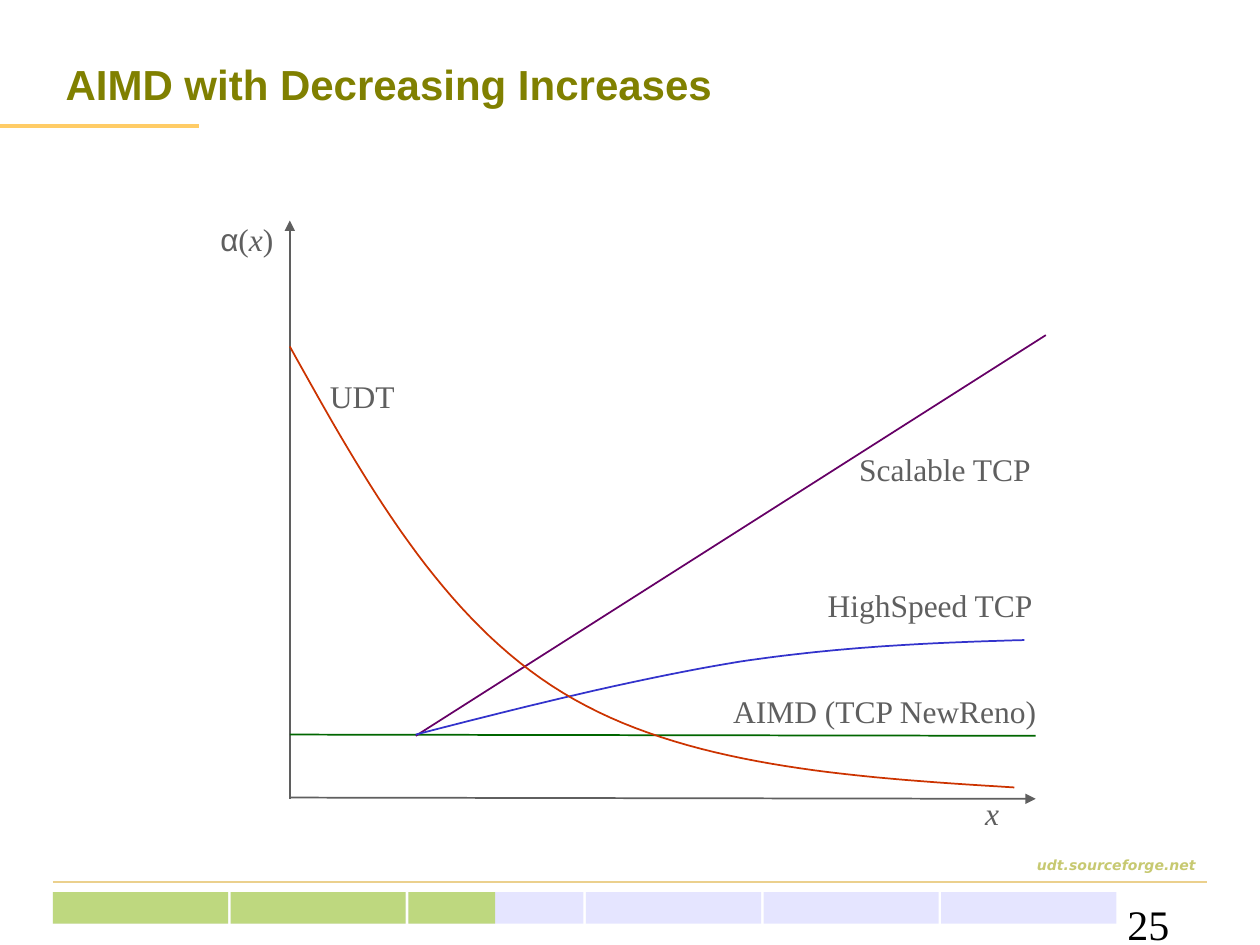
from typing import NamedTuple

from lxml import etree
from pptx import Presentation
from pptx.dml.color import RGBColor
from pptx.enum import shapes, text
from pptx.oxml.ns import qn
from pptx.util import Inches, Pt

COLORS = {
    "title": "808000", "title_rule": "FFCC66", "footer_rule": "EBD08D",
    "site": "C7C971", "track": "CCCCFF", "progress": "99CC00",
    "axis": "5F5F5F", "aimd": "006600", "scalable": "660066",
    "highspeed": "3333CC", "udt": "CC3300", "number": "000000",
}
SERIF = "Times New Roman"
Point = tuple[float, float]


class Line(NamedTuple):
    start: Point
    end: Point
    color: str
    width: float = 1
    arrow: bool = False


class Curve(NamedTuple):
    color: str
    start: Point
    beziers: list[tuple[Point, Point, Point]]


class Run(NamedTuple):
    text: str
    size: float = 18
    name: str = SERIF
    color: str = "axis"
    bold: bool = False
    italic: bool = False


class Label(NamedTuple):
    box: tuple[float, float, float, float]
    runs: list[Run]
    wrap: bool = False
    align: text.PP_ALIGN = text.PP_ALIGN.LEFT


def rgb(color: str) -> RGBColor:
    return RGBColor.from_string(COLORS[color])


def add_run(paragraph, run: Run) -> None:
    part = paragraph.add_run()
    part.text = run.text
    formats = {"size": Pt(run.size), "name": run.name,
               "bold": run.bold, "italic": run.italic}
    for attribute, value in formats.items():
        setattr(part.font, attribute, value)
    part.font.color.rgb = rgb(run.color)


def add_label(slide, label: Label) -> None:
    frame = slide.shapes.add_textbox(*map(Inches, label.box)).text_frame
    frame.word_wrap = label.wrap
    if not label.wrap:
        frame.auto_size = text.MSO_AUTO_SIZE.SHAPE_TO_FIT_TEXT
    paragraph = frame.paragraphs[0]
    paragraph.alignment = label.align
    for run in label.runs:
        add_run(paragraph, run)


def add_line(slide, line: Line) -> None:
    connector = slide.shapes.add_connector(
        shapes.MSO_CONNECTOR.STRAIGHT, *map(Inches, line.start + line.end))
    connector.line.color.rgb = rgb(line.color)
    connector.line.width = Pt(line.width)
    if line.arrow:
        etree.SubElement(connector.line._get_or_add_ln(), qn("a:tailEnd"), type="triangle")
    etree.SubElement(connector._element.spPr, qn("a:effectLst"))


def add_bar(slide, left: float, width: float, color: str) -> None:
    bar = slide.shapes.add_shape(
        shapes.MSO_SHAPE.RECTANGLE, *map(Inches, (left, 7.08, width, 0.25)))
    bar.shadow.inherit = False
    bar.line.fill.background()
    bar.fill.solid()
    bar.fill.fore_color.rgb = rgb(color)
    fill_color = bar._element.spPr.find(qn("a:solidFill"))[0]
    etree.SubElement(fill_color, qn("a:alpha"), val="50000")


def bezier_points(anchors: list[Point], steps: int = 32) -> list[Point]:
    points = []
    for step in range(1, steps + 1):
        t = step / steps
        weights = ((1 - t) ** 3, 3 * t * (1 - t) ** 2, 3 * t * t * (1 - t), t ** 3)
        points.append(tuple(
            Inches(sum(w * anchor[axis] for w, anchor in zip(weights, anchors)))
            for axis in (0, 1)))
    return points


def add_curve(slide, curve: Curve) -> None:
    builder = slide.shapes.build_freeform(*map(Inches, curve.start))
    start = curve.start
    for bezier in curve.beziers:
        builder.add_line_segments(bezier_points([start, *bezier]), close=False)
        start = bezier[-1]
    outline = builder.convert_to_shape()
    outline.shadow.inherit = False
    outline.fill.background()
    outline.line.color.rgb = rgb(curve.color)
    outline.line.width = Pt(1)


RULES = [
    Line((0, 1), (1.58, 1), "title_rule", 2.25),
    Line((0.42, 7), (9.58, 7), "footer_rule"),
]
PLOT_LINES = [
    Line((2.3, 6.33), (8.22, 6.34), "axis", arrow=True),
    Line((2.3, 6.34), (2.3, 1.75), "axis", arrow=True),
    Line((2.3, 5.83), (8.22, 5.84), "aimd"),
    Line((3.3, 5.84), (8.3, 2.66), "scalable"),
]
CURVES = [
    Curve("highspeed", (3.3, 5.83), [
        ((4.19, 5.6), (5.08, 5.38), (5.88, 5.25)),
        ((6.69, 5.13), (7.41, 5.1), (8.13, 5.08))]),
    Curve("udt", (2.3, 2.75), [
        ((2.9, 3.83), (3.51, 4.92), (4.47, 5.5)),
        ((5.42, 6.08), (6.74, 6.17), (8.05, 6.25))]),
]
LABELS = [
    Label((1.65, 1.7, 0.63, 0.4),
          [Run("α", name="Arial"), Run("("), Run("x", italic=True), Run(")")]),
    Label((7.72, 6.25, 0.31, 0.4), [Run("x", italic=True)]),
    Label((5.72, 5.44, 2.61, 0.4), [Run("AIMD (TCP NewReno)")]),
    Label((2.52, 2.94, 0.75, 0.4), [Run("UDT")]),
    Label((6.47, 4.6, 1.83, 0.4), [Run("HighSpeed TCP")]),
    Label((6.72, 3.52, 1.57, 0.4), [Run("Scalable TCP")]),
    Label((0.42, 6.75, 9.17, 0.25),
          [Run("udt.sourceforge.net", 8, "DejaVu Sans", "site", True, True)],
          wrap=True, align=text.PP_ALIGN.RIGHT),
    Label((8.85, 7.08, 0.74, 0.42), [Run("25", 24, color="number")], wrap=True),
]
BAR_LEFT, BAR_PITCH, BAR_WIDTH = 0.42, 1.41, 1.39
PROGRESS_WIDTHS = [BAR_WIDTH, BAR_WIDTH, 0.69]


def main() -> None:
    deck = Presentation()
    deck.slide_width, deck.slide_height = Inches(10), Inches(7.5)
    slide = deck.slides.add_slide(deck.slide_layouts[5])

    # Title
    title = slide.shapes.title
    title.left, title.top, title.width, title.height = map(
        Inches, (0.42, 0.25, 9.17, 0.83))
    title.text_frame.vertical_anchor = text.MSO_ANCHOR.MIDDLE
    heading = title.text_frame.paragraphs[0]
    heading.alignment = text.PP_ALIGN.LEFT
    add_run(heading, Run("AIMD with Decreasing Increases", 24, "Arial", "title", True))

    # Rules and progress bar
    for rule in RULES:
        add_line(slide, rule)
    for color, widths in (("track", [BAR_WIDTH] * 6), ("progress", PROGRESS_WIDTHS)):
        for index, width in enumerate(widths):
            add_bar(slide, BAR_LEFT + index * BAR_PITCH, width, color)

    # Plot
    for line in PLOT_LINES:
        add_line(slide, line)
    for curve in CURVES:
        add_curve(slide, curve)

    # Plot labels, site address and slide number
    for label in LABELS:
        add_label(slide, label)

    deck.save("out.pptx")


if __name__ == "__main__":
    main()
